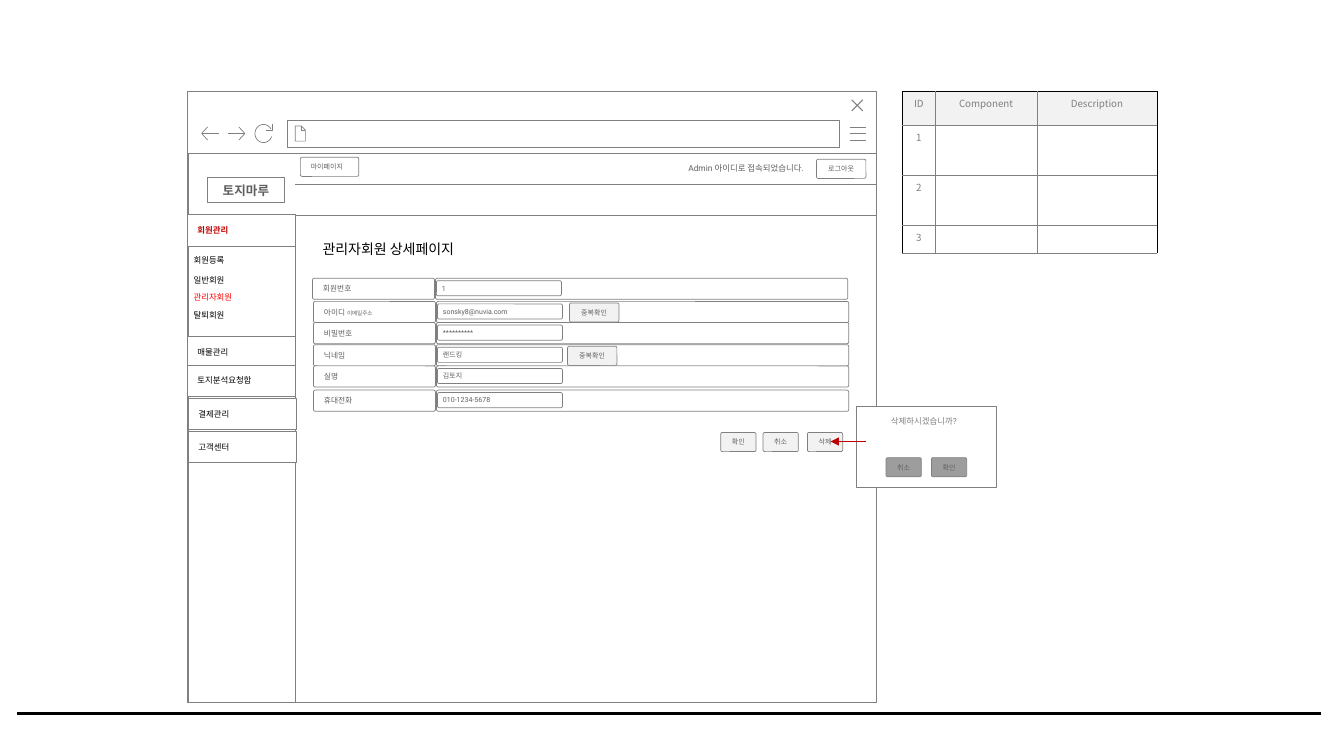
from dataclasses import dataclass
from math import cos, radians, sin

from lxml.etree import SubElement
from pptx import Presentation
from pptx.dml.color import RGBColor
from pptx.enum.shapes import MSO_CONNECTOR, MSO_SHAPE
from pptx.enum.text import MSO_ANCHOR, MSO_AUTO_SIZE, PP_ALIGN
from pptx.oxml.ns import qn
from pptx.slide import Slide
from pptx.text.text import TextFrame
from pptx.util import Inches, Pt

BLACK = RGBColor(0x00, 0x00, 0x00)
WHITE = RGBColor(0xFF, 0xFF, 0xFF)
GRAY = RGBColor(0x80, 0x80, 0x80)
INK = RGBColor(0x5F, 0x5F, 0x5F)
PALE = RGBColor(0xF2, 0xF2, 0xF2)
DIM = RGBColor(0x9D, 0x9D, 0x9D)
CRIMSON = RGBColor(0xC0, 0x00, 0x00)
RED = RGBColor(0xFF, 0x00, 0x00)

CELL = Inches(0.1)
COLS, ROWS = 133.33, 75
LATIN, HANGUL = "Roboto", "Noto Sans CJK KR"
LEFT, CENTER = PP_ALIGN.LEFT, PP_ALIGN.CENTER
CORNER = 0.09
Point = tuple[float, float]


@dataclass
class Box:
    x: float
    y: float
    w: float
    h: float
    text: str = ""
    size: float = 5
    color: RGBColor = INK
    fill: RGBColor | None = WHITE
    align: PP_ALIGN = LEFT
    bold: bool = False
    corner: float = 0
    wrap: bool = True
    inset: tuple[float, float, float, float] = (1, 0.5, 1, 0.5)
    note: str = ""


@dataclass
class Field:
    y: float
    label: str
    value: str
    note: str = ""
    check_x: float | None = None
    shift: float = 0


@dataclass
class Rule:
    start: Point
    end: Point
    color: RGBColor = GRAY
    width: float = 0.5
    arrow: bool = False


def grid(*cells: float) -> list[int]:
    return [round(c * CELL) for c in cells]


def set_insets(tf: TextFrame, inset: tuple[float, float, float, float]) -> None:
    tf.margin_left, tf.margin_top, tf.margin_right, tf.margin_bottom = grid(*inset)


def draw_box(s: Slide, b: Box) -> None:
    if b.fill is None:
        sp = s.shapes.add_textbox(*grid(b.x, b.y, b.w, b.h))
    else:
        kind = MSO_SHAPE.ROUNDED_RECTANGLE if b.corner else MSO_SHAPE.RECTANGLE
        sp = s.shapes.add_shape(kind, *grid(b.x, b.y, b.w, b.h))
        if b.corner:
            sp.adjustments[0] = b.corner
        sp.shadow.inherit = False
        sp.fill.solid()
        sp.fill.fore_color.rgb = b.fill
        sp.line.color.rgb = GRAY
        sp.line.width = Pt(0.5)
    if not b.text:
        return
    tf = sp.text_frame
    tf.word_wrap = b.wrap
    tf.vertical_anchor = MSO_ANCHOR.TOP if b.fill is None else MSO_ANCHOR.MIDDLE
    set_insets(tf, b.inset)
    p = tf.paragraphs[0]
    p.alignment = b.align
    p.font.size, p.font.bold, p.font.name = Pt(b.size), b.bold, LATIN
    p.font.color.rgb = b.color
    p.add_run().text = b.text
    if b.note:
        r = p.add_run()
        r.text = b.note
        r.font.size = Pt(4)


def button(x: float, y: float, text: str, w: float = 3.5, fill: RGBColor = PALE) -> Box:
    return Box(x, y, w, 1.9, text, fill=fill, align=CENTER, corner=CORNER, wrap=False)


def draw_field(s: Slide, f: Field) -> None:
    x = 31.1 + f.shift
    draw_box(s, Box(x, f.y, 12.1, 2.1, f.label, 5.5, corner=CORNER, note=f.note))
    draw_box(s, Box(x + 12.2, f.y, 40.9, 2.1, corner=CORNER))
    draw_box(s, Box(x + 12.3, f.y + 0.25, 12.4, 1.5, f.value, corner=0.11, inset=(0.5, 0.3, 2.1, 0.3)))
    if f.check_x:
        draw_box(s, button(f.check_x, f.y + 0.15, "중복확인", 4.9))


def draw_rule(s: Slide, rule: Rule) -> None:
    c = s.shapes.add_connector(MSO_CONNECTOR.STRAIGHT, *grid(*rule.start, *rule.end))
    c.line.color.rgb = rule.color
    c.line.width = Pt(rule.width)
    if rule.arrow:
        SubElement(c.line._get_or_add_ln(), qn("a:tailEnd"), type="triangle")
    SubElement(c.element.spPr, qn("a:effectLst"))


def draw_icon(s: Slide, strokes: list[list[Point]], width: float = 0.5) -> None:
    fb = s.shapes.build_freeform(*grid(*strokes[0][0]))
    for i, stroke in enumerate(strokes):
        pts = [tuple(grid(*pt)) for pt in stroke]
        if i:
            fb.move_to(*pts[0])
        fb.add_line_segments(pts[1:], close=False)
    sp = fb.convert_to_shape()
    sp.shadow.inherit = False
    sp.fill.background()
    sp.line.color.rgb = GRAY
    sp.line.width = Pt(width)


def draw_spec_table(s: Slide) -> None:
    texts = [["ID", "Component", "Description"], *([str(n), "", ""] for n in (1, 2, 3))]
    widths, heights = (3.3, 10.05, 11.95), (3.35, 4.95, 4.95, 2.8)
    tbl = s.shapes.add_table(4, 3, *grid(89.5, 9.05, sum(widths), sum(heights))).table
    tbl.first_row = tbl.horz_banding = False
    for col, w in zip(tbl.columns, grid(*widths)):
        col.width = w
    for row, h in zip(tbl.rows, grid(*heights)):
        row.height = h
    for i, line in enumerate(texts):
        for j, text in enumerate(line):
            cell = tbl.cell(i, j)
            edges = {"L": j == 0, "R": j == 2, "T": i == 0, "B": False}
            for side, outer in edges.items():
                ln = SubElement(cell._tc.get_or_add_tcPr(), qn(f"a:ln{side}"), w=str(Pt(0.25)))
                fill = SubElement(ln, qn("a:solidFill"))
                SubElement(fill, qn("a:srgbClr"), val=str(BLACK if outer else GRAY))
            cell.fill.solid()
            cell.fill.fore_color.rgb = WHITE if i else PALE
            p = cell.text_frame.paragraphs[0]
            p.alignment = CENTER
            p.font.size, p.font.name = Pt(7), HANGUL
            p.font.color.rgb = GRAY
            if text:
                p.add_run().text = text
            else:
                SubElement(p._p, qn("a:endParaRPr"), sz="700")


def fill_placeholder(sp, box: Box, items: list[tuple[str, RGBColor, float]]) -> None:
    sp.left, sp.top, sp.width, sp.height = grid(box.x, box.y, box.w, box.h)
    tf = sp.text_frame
    tf.word_wrap, tf.auto_size = True, MSO_AUTO_SIZE.NONE
    tf.vertical_anchor = MSO_ANCHOR.TOP
    set_insets(tf, box.inset)
    for i, (text, color, gap) in enumerate(items):
        p = tf.add_paragraph() if i else tf.paragraphs[0]
        p.alignment, p.space_before, p.line_spacing = LEFT, Pt(gap), 1.0
        p.font.size, p.font.name = Pt(box.size), HANGUL
        p.font.color.rgb = color
        pPr = p._p.get_or_add_pPr()
        pPr.set("marL", "0")
        pPr.set("indent", "0")
        pPr.insert_element_before(pPr.makeelement(qn("a:buNone")), "a:defRPr")
        p.add_run().text = text
    sp.element.getparent().append(sp.element)


def main() -> None:
    prs = Presentation()
    prs.slide_width, prs.slide_height = grid(COLS, ROWS)
    s = prs.slides.add_slide(prs.slide_layouts[1])
    title, menu = s.placeholders

    draw_rule(s, Rule((1.7, 70.8), (131.1, 70.8), BLACK, 1.75))
    for b in (Box(18.6, 15.2, 68.3, 54.5), Box(18.6, 9.1, 68.3, 6.1), Box(28.5, 11.9, 54.8, 2.7)):
        draw_box(s, b)

    arc = [(26.15 + 0.85 * cos(radians(a)), 13.25 + 0.9 * sin(radians(a))) for a in range(20, 331, 10)]
    draw_icon(s, [[(84.3, y), (85.9, y)] for y in (12.6, 13.25, 13.9)])
    draw_icon(s, [[(85.6, 9.9), (84.5, 11)], [(84.5, 9.9), (85.6, 11)]], 0.75)
    draw_icon(s, [[(29.9, 12.5), (29.9, 12.9), (30.3, 12.9)],
                  [(29.3, 12.5), (29.3, 14), (30.3, 14), (30.3, 12.9), (29.9, 12.5), (29.3, 12.5)]])
    draw_icon(s, [[(20.6, 13.9), (20, 13.25), (20.6, 12.6)], [(20, 13.25), (21.7, 13.25)]])
    draw_icon(s, [[(23.7, 12.6), (24.3, 13.25), (23.7, 13.9)], [(24.3, 13.25), (22.6, 13.25)]])
    draw_icon(s, [[(27, 12.3), (27, 12.9), (26.4, 12.9)], arc])

    draw_spec_table(s)
    for rule in (Rule((18.7, 15.2), (18.7, 69.7)), Rule((29.3, 18.3), (86.9, 18.3)),
                 Rule((18.6, 21.4), (86.9, 21.4)), Rule((29.3, 21.4), (29.3, 69.7))):
        draw_rule(s, rule)

    for b in (Box(20.6, 17.6, 7.6, 2.5, "토지마루", 9, align=CENTER, bold=True),
              button(81, 15.8, "로그아웃", 4.9, WHITE),
              Box(67.3, 15.7, 14.3, 2, "Admin 아이디로 접속되었습니다.", 6, fill=None, wrap=False),
              Box(29.8, 15.6, 5.8, 1.9, "마이페이지", corner=CORNER),
              button(71.5, 42.9, "확인"), button(75.7, 42.9, "취소"), button(80.1, 42.9, "삭제"),
              Box(85, 40.3, 13.8, 8.1),
              Box(87.4, 40.8, 9.1, 2, "삭제하시겠습니까?", 6, GRAY, None, wrap=False),
              button(87.9, 45.4, "취소", fill=DIM), button(92.4, 45.4, "확인", fill=DIM)):
        draw_box(s, b)
    draw_rule(s, Rule((85.9, 43.8), (82.4, 43.8), CRIMSON, 1, True))

    for f in (Field(27.6, "회원번호", "1", shift=-0.1),
              Field(29.9, "아이디 ", "sonsky8@nuvia.com", "이메일주소", 56.5),
              Field(32, "비밀번호", "**********"),
              Field(34.2, "닉네임", "랜드킹", check_x=56.3),
              Field(36.3, "실명", "김토지"),
              Field(38.7, "휴대전화", "010-1234-5678")):
        draw_field(s, f)

    for x, y, text in ((18.6, 21.3, "회원관리"), (18.6, 33.4, "매물관리"), (18.6, 36.2, "토지분석요청함"),
                       (18.7, 39.5, "결제관리"), (18.7, 42.8, "고객센터")):
        active = text == "회원관리"
        draw_box(s, Box(x, y, 10.7, 3.1, text, 6, CRIMSON if active else BLACK, bold=active, inset=(1, 0.5, 2, 0.5)))

    fill_placeholder(title, Box(31, 23.4, 18.7, 2.7, size=10), [("관리자회원 상세페이지", BLACK, 0)])
    fill_placeholder(menu, Box(18.2, 24.8, 7.6, 8.1, size=6),
                     [("회원등록", BLACK, 0), ("일반회원", BLACK, 7), ("관리자회원", RED, 5), ("탈퇴회원", BLACK, 5.7)])
    for font in s.element.iter(qn("a:defRPr")):
        SubElement(font, qn("a:ea"), typeface=HANGUL)
    prs.save("out.pptx")


if __name__ == "__main__":
    main()
